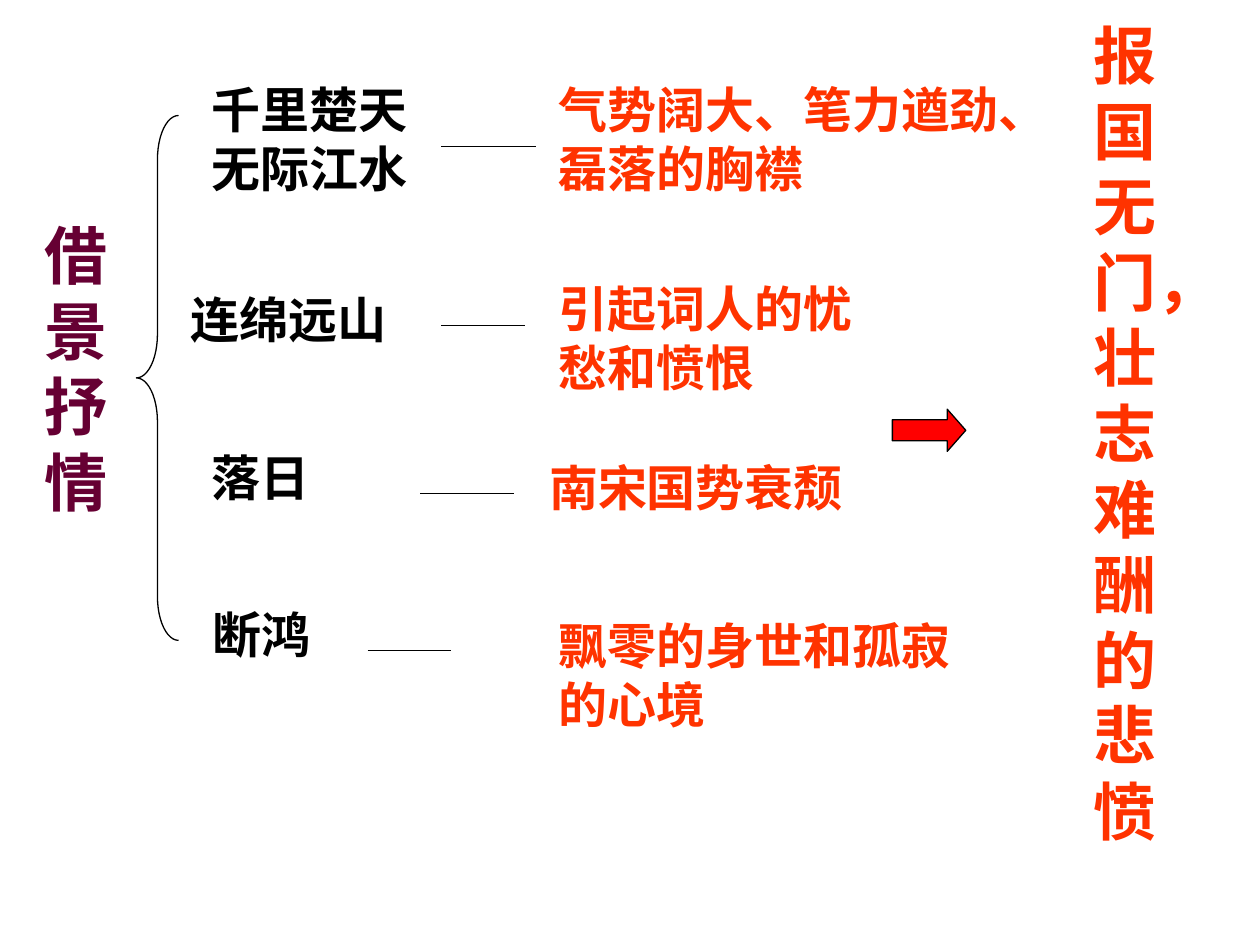
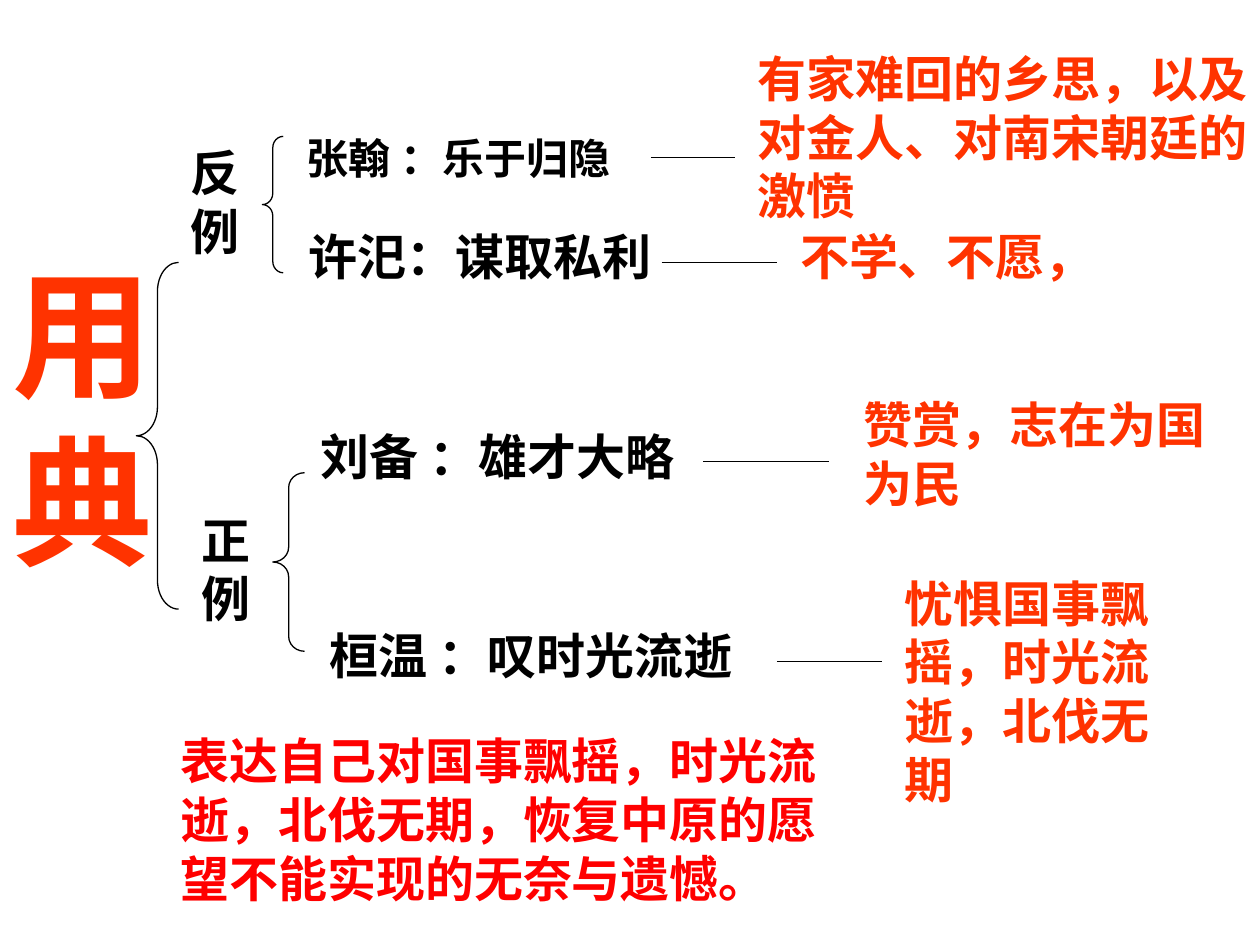
from lxml import etree
from pptx import Presentation
from pptx.dml.color import RGBColor
from pptx.enum.lang import MSO_LANGUAGE_ID
from pptx.enum.shapes import MSO_CONNECTOR, MSO_SHAPE
from pptx.enum.text import MSO_ANCHOR
from pptx.oxml.ns import qn
from pptx.util import Cm, Pt

STRAIGHT = MSO_CONNECTOR.STRAIGHT
BRACE = MSO_SHAPE.LEFT_BRACE
ARROW = MSO_SHAPE.RIGHT_ARROW
TOP, BOTTOM = MSO_ANCHOR.TOP, MSO_ANCHOR.BOTTOM
CHINESE = MSO_LANGUAGE_ID.SIMPLIFIED_CHINESE

COLORS = {
    "ink": "000000",
    "plum": "660033",
    "orange": "FF3300",
    "red": "FF0000",
}


class Board:
    def __init__(self, prs):
        self.prs = prs
        self.font = "Arial"
        self.size = 28
        self.line_width = Pt(0.75)
        self.slide = None

    def new_slide(self):
        self.slide = self.prs.slides.add_slide(self.prs.slide_layouts[6])

    def color(self, name):
        return RGBColor.from_string(COLORS[name])

    def outline(self, sp):
        sp.line.color.rgb = self.color("ink")
        sp.line.width = self.line_width

    def text(self, text, box, color="ink", size=None, font=None, anchor=TOP):
        sp = self.slide.shapes.add_textbox(*map(Cm, box))
        tf = sp.text_frame
        tf.word_wrap = True
        tf.vertical_anchor = anchor
        tf.text = text
        r = tf.paragraphs[0].runs[0]
        r.font.name = font or self.font
        r.font.size = Pt(size or self.size)
        r.font.bold = True
        r.font.color.rgb = self.color(color)
        r.font.language_id = CHINESE

    def line(self, x1, x2, y):
        sp = self.slide.shapes.add_connector(STRAIGHT, Cm(x1), Cm(y), Cm(x2), Cm(y))
        self.outline(sp)
        etree.SubElement(sp._element.spPr, qn("a:effectLst"))

    def brace(self, x, y, w, h):
        sp = self.slide.shapes.add_shape(BRACE, Cm(x), Cm(y), Cm(w), Cm(h))
        sp.shadow.inherit = False
        sp.adjustments[0] = h / w / 12
        sp.fill.background()
        self.outline(sp)

    def arrow(self, x, y, w, h):
        sp = self.slide.shapes.add_shape(ARROW, Cm(x), Cm(y), Cm(w), Cm(h))
        sp.shadow.inherit = False
        sp.adjustments[1] = 0.44
        sp.fill.solid()
        sp.fill.fore_color.rgb = self.color("red")
        self.outline(sp)

    def links(self, rows):
        for source, source_box, line, meaning, meaning_box, style in rows:
            self.text(source, source_box, **style)
            self.line(*line)
            self.text(meaning, meaning_box, "orange")


def scenery_slide(board):
    board.new_slide()
    board.text("借景抒情", (0.64, 4.24, 2.54, 6.35), "plum", 36)
    board.brace(2.75, 2.33, 0.85, 10.58)
    board.links([
        ("千里楚天无际江水", (4.02, 1.48, 4.87, 2.65), (8.89, 10.8, 2.96),
         "气势阔大、笔力遒劲、磊落的胸襟", (11.01, 1.48, 9.53, 2.65), {}),
        ("连绵远山", (3.6, 5.72, 5.5, 1.45), (8.89, 10.58, 6.56),
         "引起词人的忧愁和愤恨", (11.01, 5.5, 7.2, 2.65), {}),
        ("落日", (4.02, 8.89, 3.81, 1.45), (8.47, 10.37, 9.95),
         "南宋国势衰颓", (10.82, 9.1, 7, 1.45), {}),
        ("断鸿", (4.04, 12.07, 3, 1.45), (7.41, 9.1, 13.12),
         "飘零的身世和孤寂的心境", (11.01, 12.28, 8.47, 2.65), {}),
    ])
    board.arrow(17.99, 8.25, 1.48, 0.85)
    board.text("报国无门，壮志难酬的悲愤", (21.8, 0.21, 1.82, 17.01), "orange", 36)


def allusion_slide(board):
    board.new_slide()
    board.text("用典", (0, 4.87, 1.9, 7.04), "orange", 80)
    board.brace(2.75, 5.29, 0.85, 6.99)
    board.text("反例", (3.6, 2.75, 1.48, 2.65))
    board.brace(5.29, 2.75, 0.42, 2.75)
    board.text("正例", (3.81, 10.16, 1.27, 2.65))
    board.brace(5.5, 9.53, 0.64, 3.6)
    board.links([
        ("张翰 ：乐于归隐", (5.93, 1.69, 11, 2.12), (13.12, 14.82, 3.18),
         "有家难回的乡思，以及对金人、对南宋朝廷的激愤", (15.03, 0.85, 10.37, 3.81),
         {"size": 24, "font": "Karla", "anchor": BOTTOM}),
        ("许汜：谋取私利", (5.97, 4.45, 8.2, 1.45), (13.34, 15.66, 5.29),
         "不学、不愿，", (15.88, 4.45, 9.5, 1.45), {}),
        ("刘备 ：雄才大略", (6.22, 8.47, 8.4, 1.45), (14.18, 16.72, 9.31),
         "赞赏，志在为国为民", (17.15, 7.83, 8.25, 2.65), {}),
        ("桓温 ：叹时光流逝", (6.4, 12.49, 9.2, 1.45), (15.66, 17.78, 13.34),
         "忧惧国事飘摇，时光流逝，北伐无期", (17.99, 11.43, 6.14, 5), {}),
    ])
    board.text("表达自己对国事飘摇，时光流逝，北伐无期，恢复中原的愿望不能实现的无奈与遗憾。",
               (3.39, 14.61, 13.97, 3.81), "red")


def main():
    prs = Presentation()
    prs.slide_width, prs.slide_height = Cm(25.4), Cm(19.05)
    board = Board(prs)
    scenery_slide(board)
    allusion_slide(board)
    prs.save("out.pptx")


if __name__ == "__main__":
    main()
